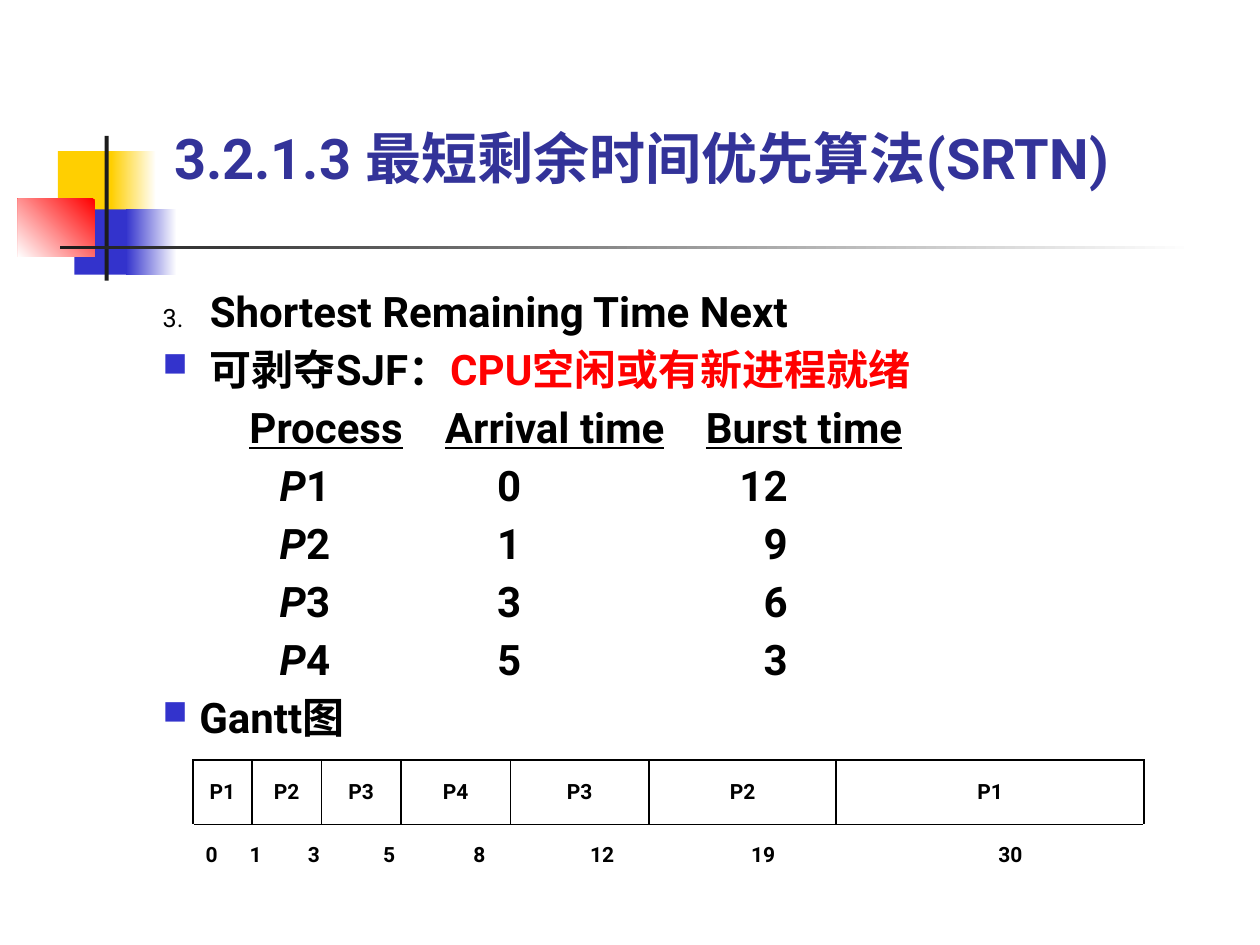
"""Build the slide on the shortest remaining time next algorithm."""
from typing import NamedTuple

from lxml.etree import SubElement
from pptx import Presentation
from pptx.dml.color import RGBColor
from pptx.enum.shapes import MSO_SHAPE as Shape
from pptx.enum.text import MSO_ANCHOR as Anchor, PP_ALIGN as Align
from pptx.oxml.ns import qn
from pptx.util import Cm, Pt

FONT, BLACK, WHITE, BLUE, GOLD, RED, DARK = (
    "Roboto", "000000", "FFFFFF", "3333CC", "FFCF01", "FF0000", "1C1C1C")


class Block(NamedTuple):
    left: float
    top: float
    width: float
    height: float
    hue: str
    end: str = ""
    angle: int = 180


class Job(NamedTuple):
    name: str
    arrive: int
    burst: int


class Slot(NamedTuple):
    name: str
    width: float
    stop: float
    time: int


BLOCKS = [
    Block(1.17, 3.05, 1.22, 1.32, GOLD),
    Block(2.24, 3.05, 0.91, 1.32, WHITE, GOLD),
    Block(1.5, 4.22, 1.17, 1.32, BLUE),
    Block(2.54, 4.22, 1.02, 1.32, WHITE, BLUE),
    Block(0.36, 4.01, 1.55, 1.17, RED, WHITE, 225),
    Block(2.11, 2.74, 0.08, 2.92, DARK),
    Block(1.22, 4.95, 22.86, 0.08, WHITE, DARK),
]
JOBS = [Job("1", 0, 12), Job("2", 1, 9), Job("3", 3, 6), Job("4", 5, 3)]
SLOTS = [
    Slot("P1", 1.19, 0.89, 1), Slot("P2", 1.4, 2.06, 3),
    Slot("P3", 1.6, 3.58, 5), Slot("P4", 2.21, 5.4, 8),
    Slot("P3", 2.79, 7.75, 12), Slot("P2", 3.78, 11, 19),
    Slot("P1", 6.2, 15.98, 30),
]
HEADS = ["Process", "Arrival time", "Burst time"]
HEAD_TABS = [(1.75, "l"), (5.69, "l"), (10.95, "l")]
JOB_TABS = [(2.36, "l"), (6.74, "l"), (12.6, "r")]


def color(code: str) -> RGBColor:
    return RGBColor.from_string(code)


def write(par, text: str, size: float = 24, hue: str = BLACK, bold: bool = True,
          slant: bool = False, under: bool = False) -> None:
    run = par.add_run()
    run.text = text
    font = run.font
    font.name, font.size, font.bold = FONT, Pt(size), bold
    font.italic, font.underline = slant, under
    font.color.rgb = color(hue)
    SubElement(run._r.get_or_add_rPr(), qn("a:ea"), typeface=FONT)


def set_tabs(par, stops: list) -> None:
    tabs = SubElement(par._p.get_or_add_pPr(), qn("a:tabLst"))
    for place, side in stops:
        SubElement(tabs, qn("a:tab"), pos=str(Cm(place)), algn=side)


def set_mark(par, hue: str, scale: int, kind: str, **marks: str) -> None:
    props = par._p.get_or_add_pPr()
    props.set("marL", str(Cm(0.74)))
    props.set("indent", str(-Cm(0.74)))
    tint = SubElement(props, qn("a:buClr"))
    SubElement(tint, qn("a:srgbClr"), val=hue)
    SubElement(props, qn("a:buSzPct"), val=str(scale * 1000))
    SubElement(props, qn(kind), **marks)


def set_edge(cell, *sides: str) -> None:
    props = cell._tc.get_or_add_tcPr()
    for side in sides:
        line = SubElement(props, qn(f"a:{side}"), w=str(Pt(1.08)))
        fill = SubElement(line, qn("a:solidFill"))
        SubElement(fill, qn("a:srgbClr"), val=BLACK)


def draw_block(slide, block: Block) -> None:
    shape = slide.shapes.add_shape(Shape.RECTANGLE, *map(Cm, block[:4]))
    shape.shadow.inherit = False
    shape.line.fill.background()
    if not block.end:
        shape.fill.solid()
        shape.fill.fore_color.rgb = color(block.hue)
        return
    shape.fill.gradient()
    shape.fill.gradient_angle = block.angle
    for stop, hue in zip(shape.fill.gradient_stops, (block.hue, block.end)):
        stop.color.rgb = color(hue)


def add_frame(slide, left: float, top: float, width: float, height: float):
    frame = slide.shapes.add_textbox(*map(Cm, (left, top, width, height))).text_frame
    frame.word_wrap = True
    frame.margin_left = frame.margin_right = frame.margin_top = frame.margin_bottom = 0
    return frame


def draw_body(slide) -> None:
    frame = add_frame(slide, 3.28, 5.61, 19.61, 9.35)
    pars = [frame.paragraphs[0]] + [frame.add_paragraph() for _ in range(3 + len(JOBS))]
    for par in pars:
        par.line_spacing = 1.15
    first, second, head, *rows, last = pars
    set_mark(first, BLACK, 60, "a:buAutoNum", type="arabicPeriod", startAt="3")
    write(first, " ", bold=False)
    write(first, "Shortest Remaining Time Next")
    for par in (second, last):
        set_mark(par, BLUE, 80, "a:buChar", char="■")
    write(second, " 可剥夺SJF：")
    write(second, "CPU空闲或有新进程就绪", hue=RED)
    set_tabs(head, HEAD_TABS)
    for title in HEADS:
        write(head, "\t")
        write(head, title, under=True)
    for par, job in zip(rows, JOBS):
        set_tabs(par, JOB_TABS)
        write(par, "\tP", slant=True)
        write(par, f"{job.name}\t{job.arrive}\t{job.burst}")
    write(last, "Gantt图")


def draw_gantt(slide) -> None:
    width = sum(slot.width for slot in SLOTS)
    table = slide.shapes.add_table(
        2, len(SLOTS), Cm(3.89), Cm(15.32), Cm(width), Cm(2.6)).table
    table.first_row = table.horz_banding = False
    for cell in table.iter_cells():
        cell.vertical_anchor = Anchor.MIDDLE
    for spot, slot in enumerate(SLOTS):
        table.columns[spot].width = Cm(slot.width)
        cell = table.cell(0, spot)
        set_edge(cell, "lnL", "lnR", "lnT", "lnB")
        cell.fill.background()
        par = cell.text_frame.paragraphs[0]
        par.alignment, par.space_before = Align.CENTER, Pt(3)
        write(par, slot.name, size=12)
        set_edge(table.cell(1, spot), "lnT")
        table.cell(1, spot).fill.background()
    scale = table.cell(1, 0)
    scale.merge(table.cell(1, len(SLOTS) - 1))
    par = scale.text_frame.paragraphs[0]
    par.line_spacing = 0.8
    set_tabs(par, [(slot.stop, "l") for slot in SLOTS])
    write(par, "\t".join(["0"] + [str(slot.time) for slot in SLOTS]), size=12)


def main() -> None:
    deck = Presentation()
    deck.slide_width, deck.slide_height = Cm(25.4), Cm(19.05)
    slide = deck.slides.add_slide(deck.slide_layouts[6])
    for block in BLOCKS:
        draw_block(slide, block)
    title = add_frame(slide, 3.51, 2.49, 19.61, 1.35)
    title.vertical_anchor = Anchor.BOTTOM
    write(title.paragraphs[0], "3.2.1.3 最短剩余时间优先算法(SRTN)", size=32, hue="333399")
    draw_body(slide)
    draw_gantt(slide)
    deck.save("out.pptx")


if __name__ == "__main__":
    main()
